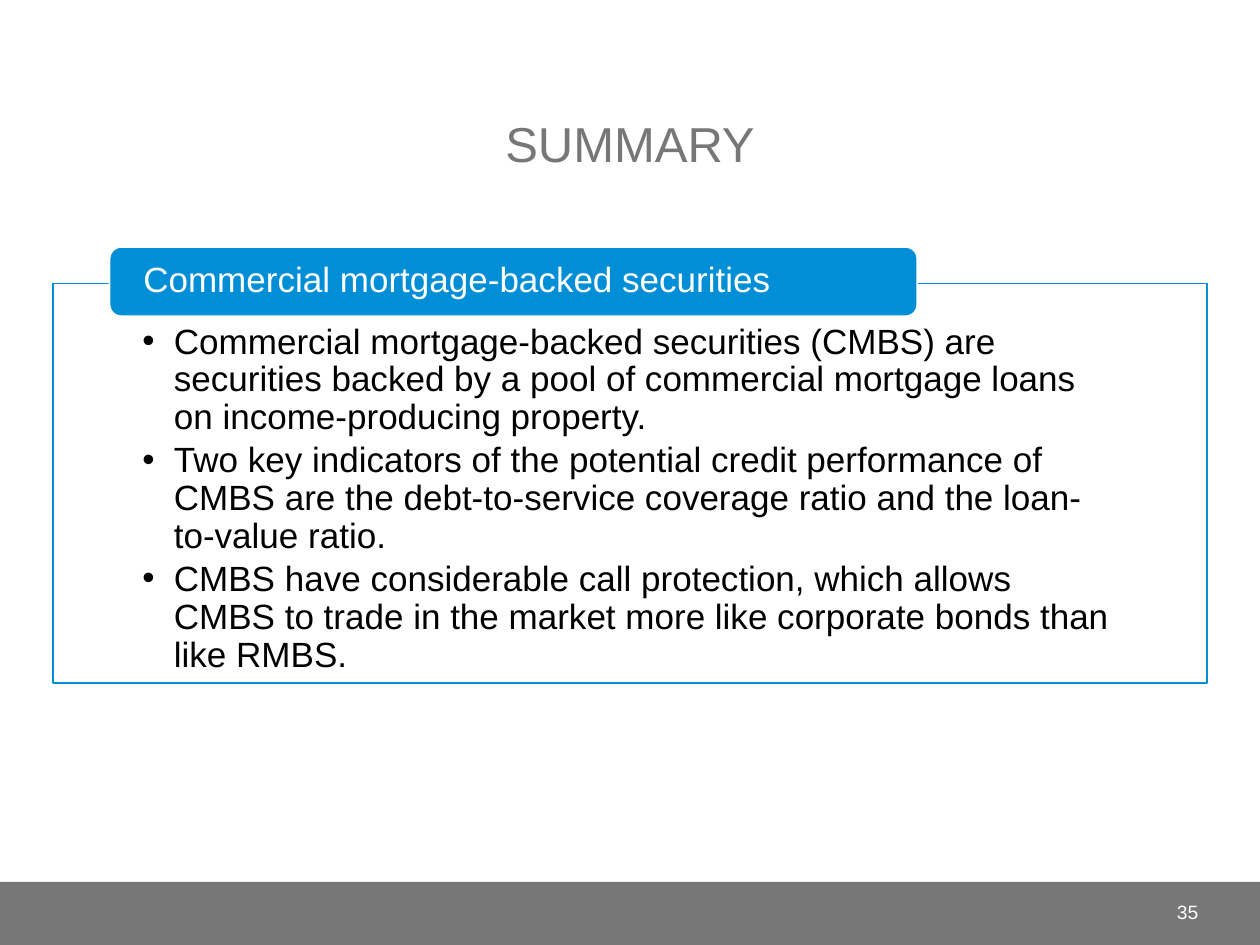
"""Build the summary slide on commercial mortgage-backed securities."""
from dataclasses import dataclass

from lxml.etree import SubElement
from pptx import Presentation
from pptx.dml.color import RGBColor as Rgb
from pptx.enum.shapes import MSO_SHAPE as Shape
from pptx.enum.text import MSO_ANCHOR as Anchor, MSO_AUTO_SIZE as AutoSize, PP_ALIGN as Align
from pptx.oxml.ns import qn
from pptx.util import Inches, Pt

TITLE = "SUMMARY"
HEADING = "Commercial mortgage-backed securities"
POINTS = [
    "Commercial mortgage-backed securities (CMBS) are securities backed by a pool of "
    "commercial mortgage loans on income-producing property.",
    "Two key indicators of the potential credit performance of CMBS are the "
    "debt-to-service coverage ratio and the loan-to-value ratio.",
    "CMBS have considerable call protection, which allows CMBS to trade in the market "
    "more like corporate bonds than like RMBS.",
]
PAGE_NUMBER = "35"

BOXES = {
    "title": (0.42, 0.17, 9.16, 1.25),
    "body": (0.42, 2.25, 9.16, 3.17),
    "heading": (0.87, 1.96, 6.41, 0.55),
    "footer": (0, 7, 10, 0.5),
    "number": (8.75, 7.04, 0.86, 0.4),
}


@dataclass(frozen=True)
class Theme:
    font: str = "Arial"
    gray: str = "777777"
    blue: str = "008ED6"
    white: str = "FFFFFF"
    black: str = "000000"
    title_size: int = 28
    text_size: int = 20
    number_size: int = 11


THEME = Theme()


def place(shape, name):
    shape.left, shape.top, shape.width, shape.height = map(Inches, BOXES[name])


def paint(shape, fill, line=None):
    shape.fill.solid()
    shape.fill.fore_color.rgb = Rgb.from_string(fill)
    if line:
        shape.line.color.rgb = Rgb.from_string(line)
        shape.line.width = Pt(1)
    else:
        shape.line.fill.background()


def set_frame(shape, anchor, insets=(0.1, 0.05, 0.1, 0.05)):
    frame = shape.text_frame
    frame.word_wrap = True
    frame.auto_size = AutoSize.NONE
    frame.vertical_anchor = anchor
    (frame.margin_left, frame.margin_top,
     frame.margin_right, frame.margin_bottom) = map(Inches, insets)
    return frame


def write(para, text, size, color, align=Align.LEFT, spacing=1.0):
    para.alignment = align
    para.line_spacing = spacing
    para.space_before = Pt(0)
    span = para.add_run()
    span.text = text
    span.font.name = THEME.font
    span.font.size = Pt(size)
    span.font.color.rgb = Rgb.from_string(color)


def add_bullet(para):
    para.level = 1
    para.space_after = Pt(0.15 * THEME.text_size)
    props = para._p.get_or_add_pPr()
    props.set("marL", str(Inches(0.25)))
    props.set("indent", str(Inches(-0.25)))
    SubElement(props, qn("a:buFont"), typeface=THEME.font)
    SubElement(props, qn("a:buChar"), char="•")


def add_box(page, kind, name, fill, line=None):
    box = page.shapes.add_shape(kind, *map(Inches, BOXES[name]))
    box.shadow.inherit = False
    paint(box, fill, line)
    return box


def main():
    deck = Presentation()
    deck.slide_width, deck.slide_height = Inches(10), Inches(7.5)
    page = deck.slides.add_slide(deck.slide_layouts[1])

    title = page.shapes.title
    place(title, "title")
    frame = set_frame(title, Anchor.BOTTOM)
    write(frame.paragraphs[0], TITLE, THEME.title_size, THEME.gray, Align.CENTER)

    body = page.placeholders[1]
    place(body, "body")
    paint(body, THEME.white, THEME.blue)
    frame = set_frame(body, Anchor.TOP, (0.71, 0.32, 0.71, 0.16))
    for index, point in enumerate(POINTS):
        para = frame.add_paragraph() if index else frame.paragraphs[0]
        write(para, point, THEME.text_size, THEME.black, spacing=0.9)
        add_bullet(para)

    heading = add_box(page, Shape.ROUNDED_RECTANGLE, "heading", THEME.blue, THEME.white)
    frame = set_frame(heading, Anchor.MIDDLE, (0.24, 0, 0.24, 0))
    write(frame.paragraphs[0], HEADING, THEME.text_size, THEME.white, spacing=0.9)

    add_box(page, Shape.RECTANGLE, "footer", THEME.gray)
    number = page.shapes.add_textbox(*map(Inches, BOXES["number"]))
    frame = set_frame(number, Anchor.MIDDLE)
    write(frame.paragraphs[0], PAGE_NUMBER, THEME.number_size, THEME.white, Align.RIGHT)

    deck.save("out.pptx")


if __name__ == "__main__":
    main()
